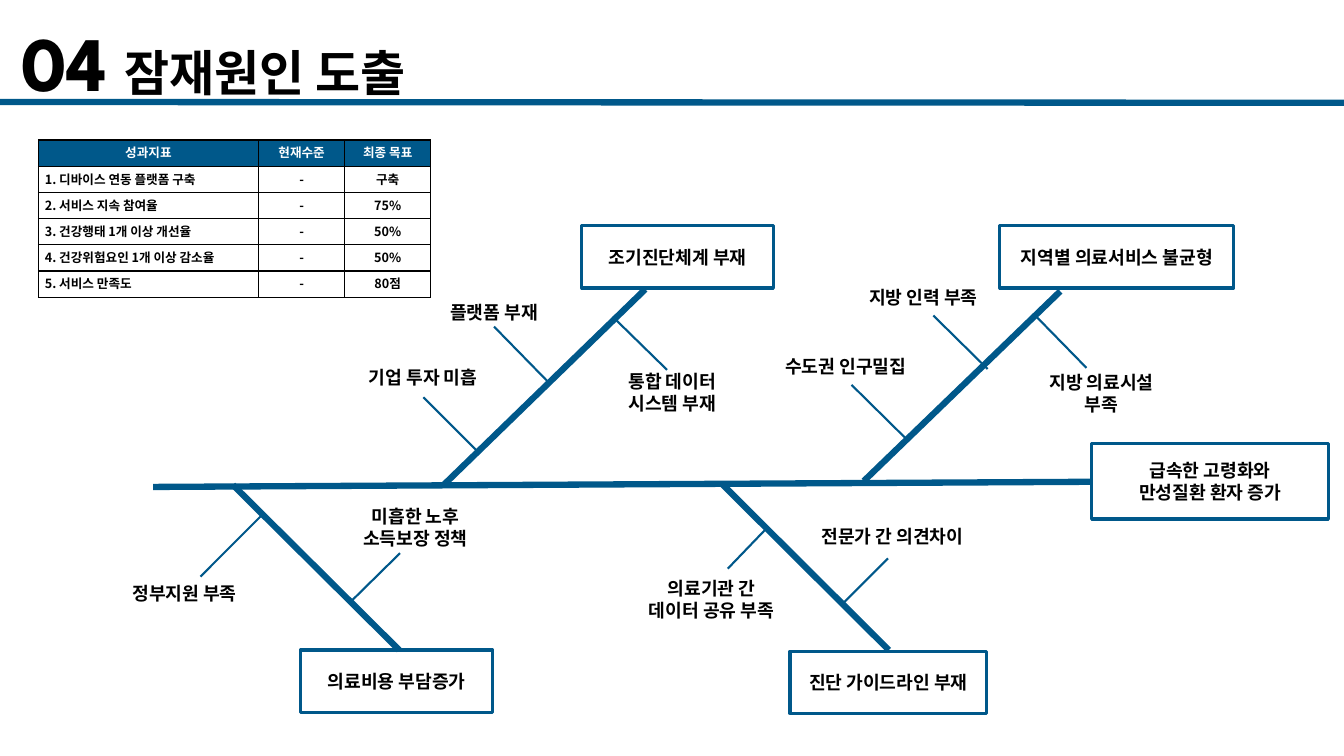
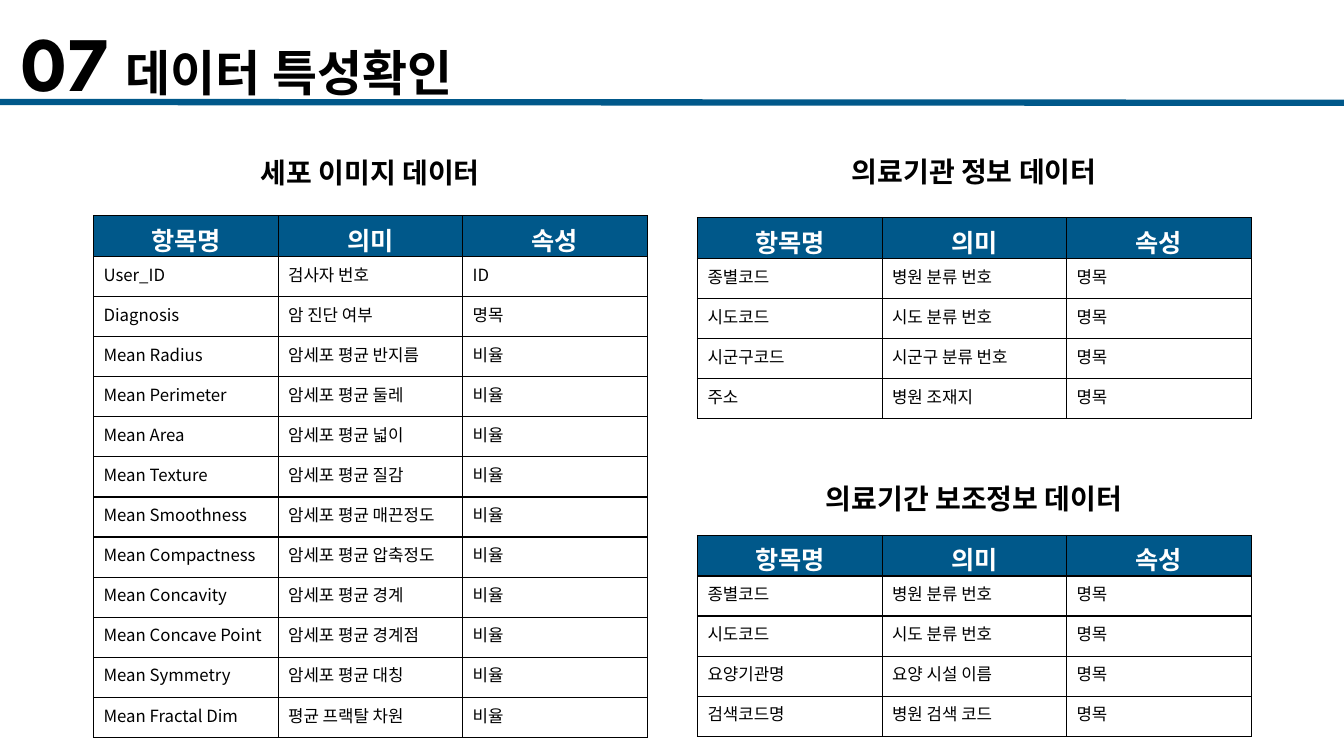
from lxml import etree
from pptx import Presentation
from pptx.dml.color import RGBColor
from pptx.enum.shapes import MSO_CONNECTOR, MSO_SHAPE
from pptx.enum.text import MSO_ANCHOR, MSO_AUTO_SIZE, PP_ALIGN
from pptx.oxml import parse_xml
from pptx.oxml.ns import nsdecls, qn
from pptx.util import Cm, Pt

BLUE, BLACK, WHITE = "00588A", "000000", "FFFFFF"
KOREAN_FONT = "Noto Sans CJK KR"
TITLE_FONT = "League Spartan"
hex_color = RGBColor.from_string


def write_text(frame, text, size=13, font=KOREAN_FONT, color=BLACK, bold=True,
               align=PP_ALIGN.CENTER, line_spacing=None):
    """Append text to the last paragraph; every line break starts a new one."""
    for index, line in enumerate(text.split("\n")):
        paragraph = frame.add_paragraph() if index else frame.paragraphs[-1]
        paragraph.alignment = align
        paragraph.line_spacing = line_spacing
        run = paragraph.add_run()
        run.text = line
        run.font.size = Pt(size)
        run.font.name = font
        run.font.bold = bold
        run.font.color.rgb = hex_color(color)
        latin = run.font._element.find(qn("a:latin"))
        east_asian = etree.Element(qn("a:ea"), typeface=KOREAN_FONT)
        latin.addnext(east_asian)


presentation = Presentation()
presentation.slide_width = Cm(33.87)
presentation.slide_height = Cm(19.05)
title_only = presentation.slide_layouts[5]

# Titles
for number, heading in [("04", "잠재원인 도출"), ("07", "데이터 특성확인")]:
    slide = presentation.slides.add_slide(title_only)
    title = slide.shapes.title
    title.left, title.top, title.width, title.height = Cm(0.2), Cm(0.51), Cm(32.18), Cm(2.06)
    frame = title.text_frame
    frame.auto_size = MSO_AUTO_SIZE.NONE
    frame.vertical_anchor = MSO_ANCHOR.MIDDLE
    frame.margin_left = frame.margin_right = Cm(0.33)
    frame.margin_top = frame.margin_bottom = Cm(0.18)
    for text, size in [(number, 55), (" ", 46.7), (heading, 35)]:
        write_text(frame, text, size=size, font=TITLE_FONT, align=PP_ALIGN.LEFT)

cause_slide, data_slide = presentation.slides

# Title rules and fishbone lines: start x, start y, end x, end y
title_rule = (0, 2.57, 33.87, 2.59)
spine = (3.86, 12.27, 27.51, 12.14)
bones = [
    (11.18, 12.22, 16.26, 7.29),
    (5.87, 12.22, 10.06, 16.38),
    (21.77, 12.12, 26.72, 7.34),
    (18.19, 12.19, 22.4, 16.38),
]
twigs = [
    (6.63, 12.95, 5.05, 14.53),
    (10.08, 13.94, 8.84, 15.16),
    (19.35, 13.28, 18.34, 14.33),
    (22.38, 14.07, 21.26, 15.19),
    (13.79, 9.6, 12.45, 8.23),
    (16.81, 9.32, 15.44, 7.98),
    (12.04, 11.38, 10.67, 10.01),
    (24.89, 9.3, 23.52, 7.95),
    (27.38, 9.27, 26.04, 7.9),
    (22.83, 11.05, 21.46, 9.7),
]
for slide, lines, width in [
    (cause_slide, [title_rule, spine, *bones], 4.5),
    (cause_slide, twigs, 1.5),
    (data_slide, [title_rule], 4.5),
]:
    for ends in lines:
        connector = slide.shapes.add_connector(
            MSO_CONNECTOR.STRAIGHT, *[Cm(value) for value in ends])
        connector.line.color.rgb = hex_color(BLUE)
        connector.line.width = Pt(width)
        etree.SubElement(connector._element.spPr, qn("a:effectLst"))

# Main causes and the effect
for text, left, top, width, height in [
    ("조기진단체계 부재", 14.66, 5.69, 4.83, 1.57),
    ("지역별 의료서비스 불균형", 25.2, 5.69, 5.89, 1.57),
    ("의료비용 부담증가", 7.57, 16.38, 4.85, 1.57),
    ("진단 가이드라인 부재", 19.91, 16.41, 4.95, 1.57),
    ("급속한 고령화와\n만성질환 환자 증가", 27.51, 11.18, 5.97, 1.9),
]:
    box = cause_slide.shapes.add_shape(
        MSO_SHAPE.RECTANGLE, Cm(left), Cm(top), Cm(width), Cm(height))
    box.shadow.inherit = False
    box.fill.background()
    box.line.color.rgb = hex_color(BLUE)
    box.line.width = Pt(2.25)
    box.text_frame.vertical_anchor = MSO_ANCHOR.MIDDLE
    write_text(box.text_frame, text)

# Detailed causes and table headings: text, centre, top
cause_labels = [
    ("정부지원 부족", 4.65, 14.33),
    ("미흡한 노후\n소득보장 정책", 10.47, 12.67),
    ("의료기관 간\n데이터 공유 부족", 17.93, 14.5),
    ("전문가 간 의견차이", 22.49, 12.9),
    ("플랫폼 부재", 12.45, 7.26),
    ("통합 데이터\n시스템 부재", 16.94, 9.27),
    ("기업 투자 미흡", 10.66, 8.89),
    ("지방 인력 부족", 23.27, 6.88),
    ("지방 의료시설\n부족", 27.76, 9.3),
    ("수도권 인구밀집", 21.31, 8.61),
]
table_headings = [
    ("세포 이미지 데이터", 9.33, 3.23),
    ("의료기관 정보 데이터", 24.55, 3.2),
    ("의료기간 보조정보 데이터", 24.55, 11.43),
]
for slide, labels, width, height, text_format in [
    (cause_slide, cause_labels, 4.7, 1.22, {}),
    (data_slide, table_headings, 13.95, 1.4, {"size": 20, "line_spacing": 2.0}),
]:
    for text, centre, top in labels:
        label = slide.shapes.add_textbox(
            Cm(centre - width / 2), Cm(top), Cm(width), Cm(height))
        label.text_frame.word_wrap = True
        label.text_frame.vertical_anchor = MSO_ANCHOR.MIDDLE
        write_text(label.text_frame, text, **text_format)

# Tables
targets = [
    ("성과지표", "현재수준", "최종 목표"),
    ("1. 디바이스 연동 플랫폼 구축", "-", "구축"),
    ("2. 서비스 지속 참여율", "-", "75%"),
    ("3. 건강행태 1개 이상 개선율", "-", "50%"),
    ("4. 건강위험요인 1개 이상 감소율", "-", "50%"),
    ("5. 서비스 만족도", "-", "80점"),
]
data_header = ("항목명", "의미", "속성")
cell_images = [
    data_header,
    ("User_ID", "검사자 번호", "ID"),
    ("Diagnosis", "암 진단 여부", "명목"),
    ("Mean Radius", "암세포 평균 반지름", "비율"),
    ("Mean Perimeter", "암세포 평균 둘레", "비율"),
    ("Mean Area", "암세포 평균 넓이", "비율"),
    ("Mean Texture", "암세포 평균 질감", "비율"),
    ("Mean Smoothness", "암세포 평균 매끈정도", "비율"),
    ("Mean Compactness", "암세포 평균 압축정도", "비율"),
    ("Mean Concavity", "암세포 평균 경계", "비율"),
    ("Mean Concave Point", "암세포 평균 경계점", "비율"),
    ("Mean Symmetry", "암세포 평균 대칭", "비율"),
    ("Mean Fractal Dim", "평균 프랙탈 차원", "비율"),
]
shared_codes = [
    data_header,
    ("종별코드", "병원 분류 번호", "명목"),
    ("시도코드", "시도 분류 번호", "명목"),
]
institutions = shared_codes + [
    ("시군구코드", "시군구 분류 번호", "명목"),
    ("주소", "병원 조재지", "명목"),
]
institution_details = shared_codes + [
    ("요양기관명", "요양 시설 이름", "명목"),
    ("검색코드명", "병원 검색 코드", "명목"),
]
LEFT, CENTER = PP_ALIGN.LEFT, PP_ALIGN.CENTER
target_style = {
    "columns": (5.54, 2.18, 2.16), "row_height": 0.66, "margins": (0.16, 0.08),
    "header_size": 9, "body_size": 9, "body_bold": True, "aligns": (LEFT, CENTER, CENTER),
    "header_anchor": MSO_ANCHOR.TOP,
}
data_style = {
    "columns": (4.65, 4.65, 4.65), "row_height": 1.01, "margins": (0.25, 0.13),
    "header_size": 18, "body_size": 12, "body_bold": False, "aligns": (LEFT, LEFT, LEFT),
    "header_anchor": MSO_ANCHOR.MIDDLE,
}
for slide, rows, left, top, style in [
    (cause_slide, targets, 0.97, 3.53, target_style),
    (data_slide, cell_images, 2.36, 5.44, data_style),
    (data_slide, institutions, 17.58, 5.49, data_style),
    (data_slide, institution_details, 17.58, 13.49, data_style),
]:
    columns, row_height = style["columns"], style["row_height"]
    table = slide.shapes.add_table(
        len(rows), len(columns), Cm(left), Cm(top),
        Cm(sum(columns)), Cm(row_height * len(rows))).table
    for column, width in zip(table.columns, columns):
        column.width = Cm(width)
    for row_index, values in enumerate(rows):
        table.rows[row_index].height = Cm(row_height)
        is_header = row_index == 0
        for column_index, value in enumerate(values):
            cell = table.cell(row_index, column_index)
            side_margin, edge_margin = style["margins"]
            cell.margin_left = cell.margin_right = Cm(side_margin)
            cell.margin_top = cell.margin_bottom = Cm(edge_margin)
            cell.vertical_anchor = style["header_anchor"] if is_header else MSO_ANCHOR.TOP
            cell_properties = cell._tc.get_or_add_tcPr()
            for side in ("lnL", "lnR", "lnT", "lnB"):
                cell_properties.append(parse_xml(
                    f'<a:{side} {nsdecls("a")} w="{Pt(1)}"><a:solidFill>'
                    f'<a:srgbClr val="{BLACK}"/></a:solidFill></a:{side}>'))
            cell.fill.solid()
            cell.fill.fore_color.rgb = hex_color(BLUE if is_header else WHITE)
            write_text(
                cell.text_frame, value,
                size=style["header_size"] if is_header else style["body_size"],
                color=WHITE if is_header else BLACK,
                bold=is_header or style["body_bold"],
                align=CENTER if is_header else style["aligns"][column_index])

presentation.save("out.pptx")
